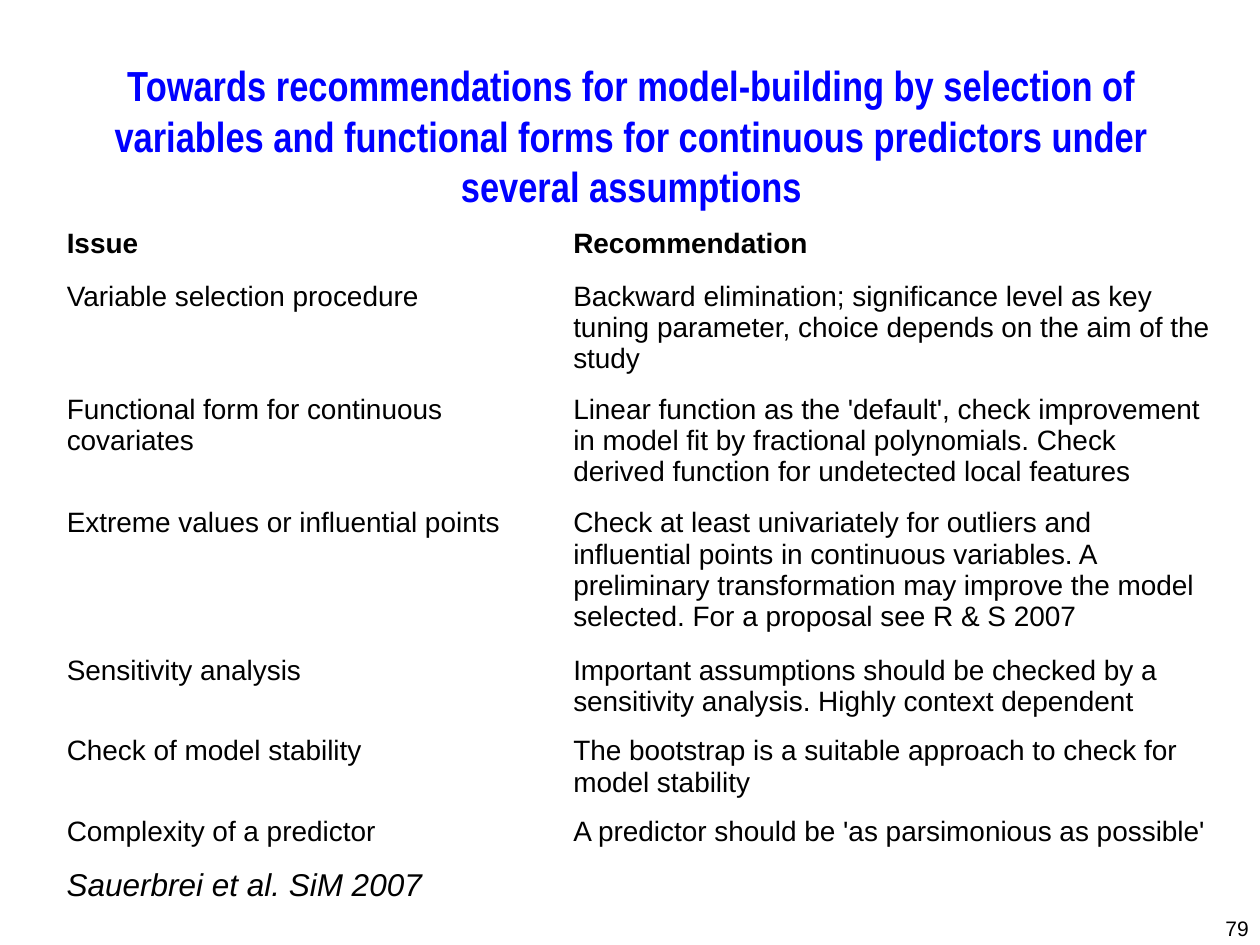
"""Build a slide of recommendations for model-building."""
from pptx import Presentation, util as u
from pptx.dml.color import RGBColor
from pptx.enum import text

PX = u.Inches(1) // 100
COLORS = {"title": "0000FF", "body": "000000"}
TITLE = ("Towards recommendations for model-building by selection of variables "
         "and functional forms for continuous predictors under several assumptions")
SOURCE = "Sauerbrei et al. SiM 2007"
NUMBER = "79"
COLUMNS = (402, 527)
ROWS = [
    (42, "Issue", "Recommendation"),
    (90, "Variable selection procedure",
     "Backward elimination; significance level as key tuning parameter, "
     "choice depends on the aim of the study"),
    (90, "Functional form for continuous covariates",
     "Linear function as the 'default', check improvement in model fit by fractional "
     "polynomials. Check derived function for undetected local features"),
    (117, "Extreme values or influential points",
     "Check at least univariately for outliers and influential points in continuous "
     "variables. A preliminary transformation may improve the model selected. "
     "For a proposal see R & S 2007"),
    (64, "Sensitivity analysis",
     "Important assumptions should be checked by a sensitivity analysis. "
     "Highly context dependent"),
    (64, "Check of model stability",
     "The bootstrap is a suitable approach to check for model stability"),
    (55, "Complexity of a predictor",
     "A predictor should be 'as parsimonious as possible'"),
]


def write(frame, words, size=16, font="Arial", color="body", bold=False,
          italic=False, align=text.PP_ALIGN.LEFT):
    """Put formatted words into a text frame."""
    para = frame.paragraphs[0]
    para.alignment = align
    span = para.add_run()
    span.text = words
    span.font.name, span.font.size = font, u.Pt(size)
    span.font.bold, span.font.italic = bold, italic
    span.font.color.rgb = RGBColor.from_string(COLORS[color])


def place(shape, *bounds):
    """Set left, top, width and height in px."""
    shape.left, shape.top, shape.width, shape.height = (n * PX for n in bounds)


def add_box(page, bounds, words, wrap=True, **style):
    """Add a text box at bounds in px."""
    box = page.shapes.add_textbox(*(n * PX for n in bounds))
    box.text_frame.word_wrap = wrap
    write(box.text_frame, words, **style)


def add_recommendations(page, left, top):
    """Add the table of issues and recommendations."""
    height = sum(row[0] for row in ROWS)
    bounds = (left, top, sum(COLUMNS), height)
    table = page.shapes.add_table(len(ROWS), len(COLUMNS), *(n * PX for n in bounds)).table
    table.first_row = table.horz_banding = False
    for column, width in zip(table.columns, COLUMNS):
        column.width = width * PX
    for index, (height, *words) in enumerate(ROWS):
        table.rows[index].height = height * PX
        for cell, phrase in zip(table.rows[index].cells, words):
            cell.fill.background()
            write(cell.text_frame, phrase, bold=index == 0)


def main():
    """Build and save the deck."""
    deck = Presentation()
    deck.slide_width, deck.slide_height = 1000 * PX, 750 * PX
    page = deck.slides.add_slide(deck.slide_layouts[5])
    title = page.shapes.title
    place(title, 51, 45, 900, 125)
    title.text_frame.vertical_anchor = text.MSO_ANCHOR.MIDDLE
    write(title.text_frame, TITLE, size=24, font="Arial Narrow", color="title",
          bold=True, align=text.PP_ALIGN.CENTER)
    add_recommendations(page, 43, 176)
    add_box(page, (43, 682, 302, 40), SOURCE, wrap=False, size=18, italic=True)
    add_box(page, (768, 722, 233, 52), NUMBER, size=12, align=text.PP_ALIGN.RIGHT)
    deck.save("out.pptx")


if __name__ == "__main__":
    main()
